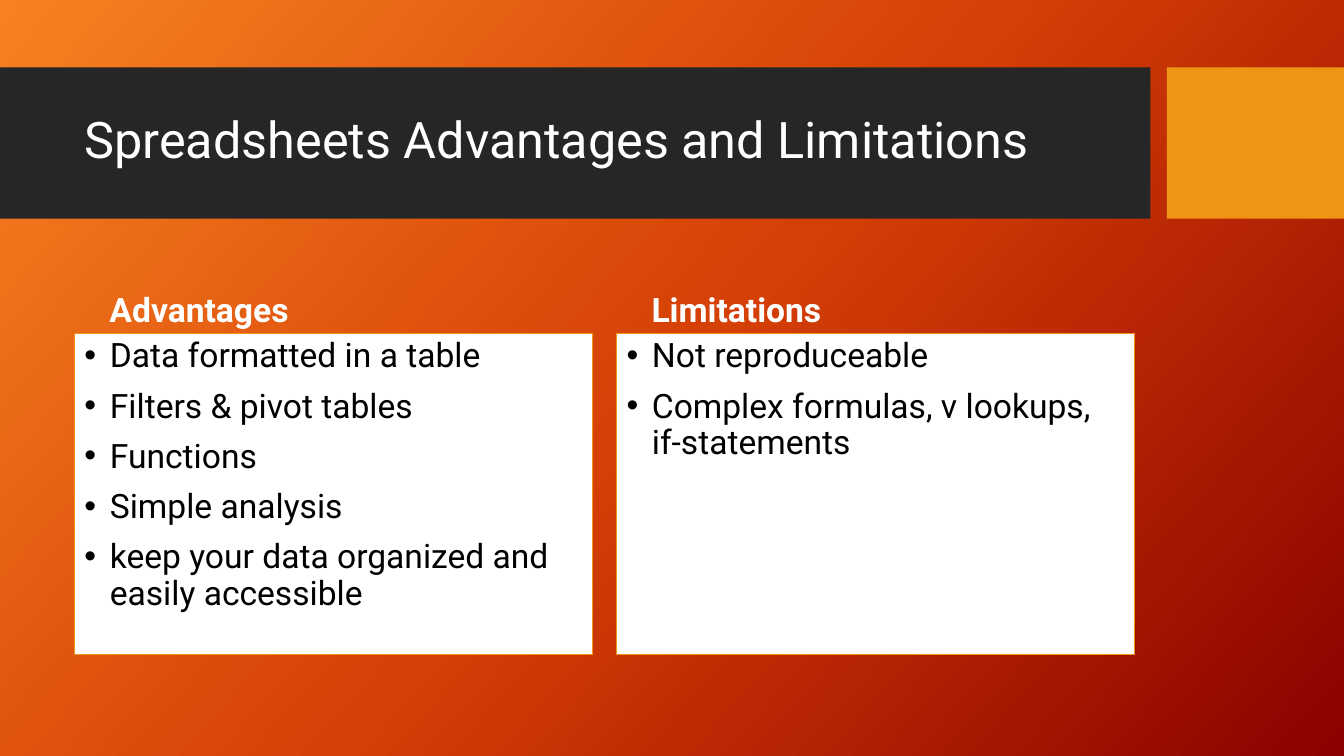
"""Build a slide comparing the advantages and limitations of spreadsheets."""
from copy import deepcopy

from lxml.etree import SubElement
from pptx import Presentation
from pptx.dml.color import RGBColor
from pptx.enum.shapes import MSO_SHAPE
from pptx.enum.text import MSO_ANCHOR, PP_ALIGN
from pptx.oxml.ns import qn
from pptx.util import Cm, Pt

WHITE = RGBColor(0xFF, 0xFF, 0xFF)
BLACK = RGBColor(0x00, 0x00, 0x00)
CHARCOAL = RGBColor(0x26, 0x26, 0x26)
AMBER = RGBColor(0xF0, 0x94, 0x15)
BACKDROP = [
    (0, RGBColor(0xF7, 0x81, 0x21)),
    (0.5, RGBColor(0xD5, 0x40, 0x06)),
    (1, RGBColor(0x8C, 0x00, 0x00)),
]
COLUMNS = [
    ("Advantages", [
        "Data formatted in a table",
        "Filters & pivot tables",
        "Functions",
        "Simple analysis",
        "keep your data organized and easily accessible",
    ]),
    ("Limitations", [
        "Not reproduceable",
        "Complex formulas, v lookups, if-statements",
    ]),
]
LEFT = 1.88
COLUMN_STEP = 13.66


def add_rectangle(left, top, width, height, color):
    shape = page.shapes.add_shape(
        MSO_SHAPE.RECTANGLE, Cm(left), Cm(top), Cm(width), Cm(height))
    shape.shadow.inherit = False
    shape.fill.solid()
    shape.fill.fore_color.rgb = color
    shape.line.fill.background()
    return shape


def write(paragraph, text, size, color, bold=False):
    paragraph.alignment = PP_ALIGN.LEFT
    paragraph.line_spacing = 0.9
    span = paragraph.add_run()
    span.text = text
    span.font.name = "Roboto"
    span.font.size = Pt(size)
    span.font.bold = bold
    span.font.color.rgb = color


deck = Presentation()
deck.slide_width = Cm(33.87)
deck.slide_height = Cm(19.05)
page = deck.slides.add_slide(deck.slide_layouts[6])

backdrop = page.background.fill
backdrop.gradient()
backdrop.gradient_angle = 318
stop_list = page.element.find(".//" + qn("a:gsLst"))
stop_list.append(deepcopy(stop_list[0]))
for stop, (position, color) in zip(backdrop.gradient_stops, BACKDROP):
    stop.position = position
    stop.color.rgb = color

add_rectangle(0, 1.7, 28.99, 3.81, CHARCOAL)
add_rectangle(29.41, 1.7, 4.46, 3.81, AMBER)

title = page.shapes.add_textbox(Cm(LEFT), Cm(2.08), Cm(26.7), Cm(3))
title.text_frame.word_wrap = True
title.text_frame.vertical_anchor = MSO_ANCHOR.MIDDLE
write(title.text_frame.paragraphs[0],
      "Spreadsheets Advantages and Limitations", 36, WHITE)

for column, (heading, points) in enumerate(COLUMNS):
    left = LEFT + column * COLUMN_STEP
    label = page.shapes.add_textbox(Cm(left + 0.63), Cm(6.5), Cm(12.42), Cm(1.93))
    label.text_frame.word_wrap = True
    label.text_frame.vertical_anchor = MSO_ANCHOR.BOTTOM
    write(label.text_frame.paragraphs[0], heading, 24, WHITE, bold=True)

    box = add_rectangle(left, 8.41, 13.06, 8.08, WHITE)
    box.line.color.rgb = AMBER
    box.line.width = Pt(1)
    frame = box.text_frame
    frame.word_wrap = True
    frame.vertical_anchor = MSO_ANCHOR.TOP
    for index, point in enumerate(points):
        para = frame.add_paragraph() if index else frame.paragraphs[0]
        write(para, point, 24, BLACK)
        para.space_before = Pt(10 if index else 0)
        properties = para._p.get_or_add_pPr()
        properties.set("marL", str(Cm(0.64)))
        properties.set("indent", str(-Cm(0.64)))
        bullet_color = SubElement(properties, qn("a:buClr"))
        SubElement(bullet_color, qn("a:srgbClr"), val=str(BLACK))
        SubElement(properties, qn("a:buFont"), typeface="Arial")
        SubElement(properties, qn("a:buChar"), char="•")

deck.save("out.pptx")
